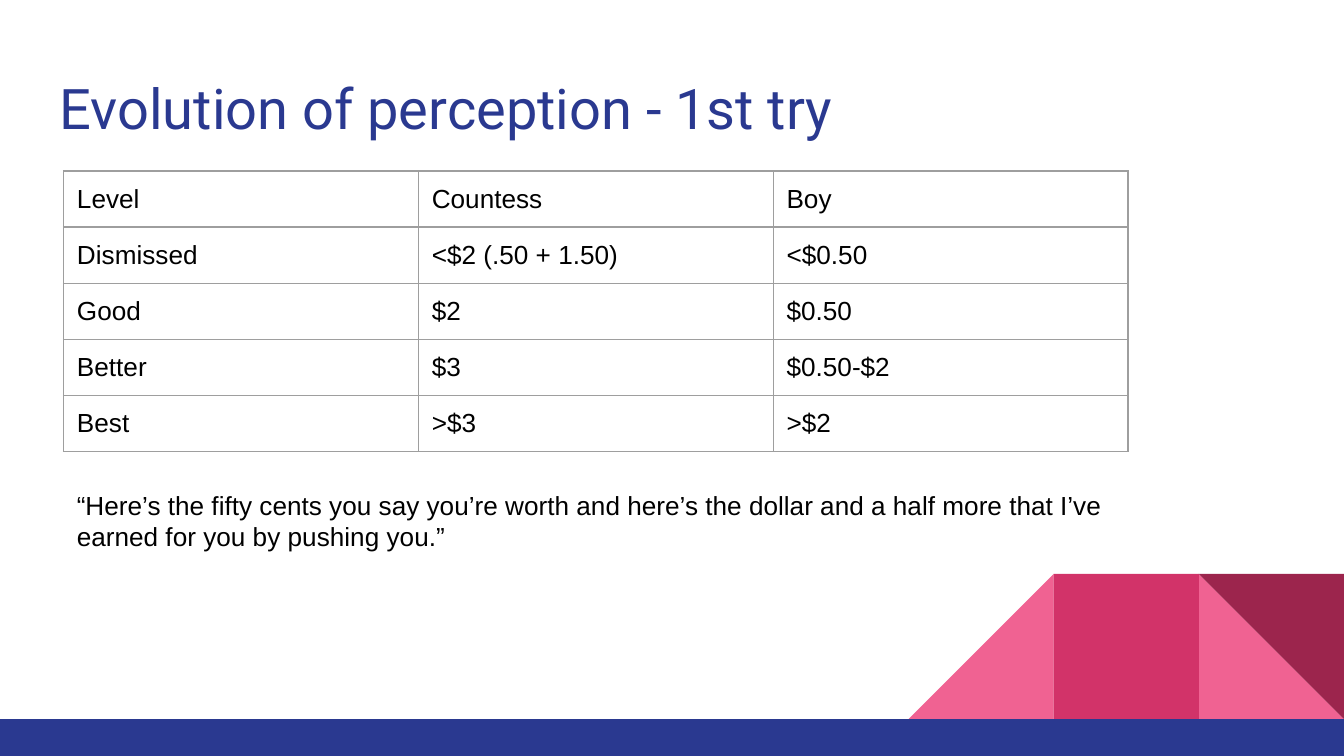
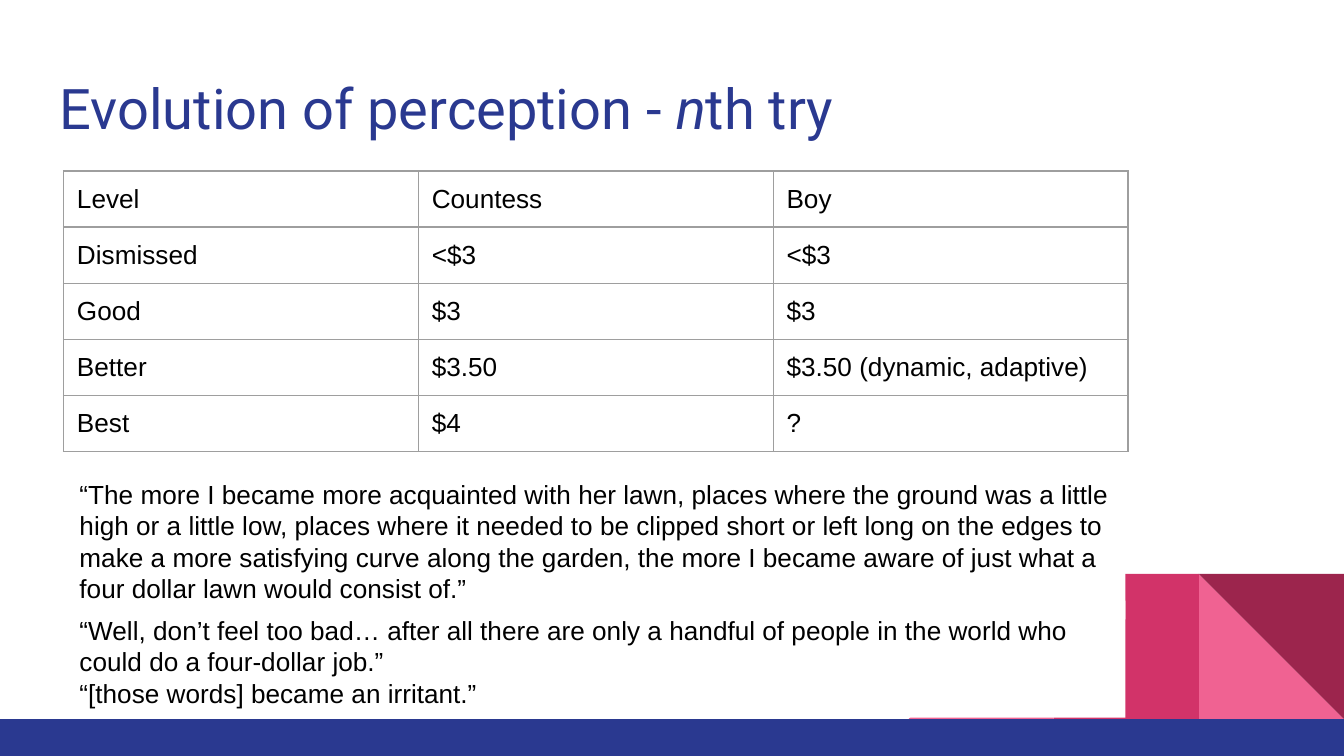
import pptx
import pptx.dml.color
import pptx.enum.shapes
import pptx.enum.text
import pptx.oxml
import pptx.oxml.ns
import pptx.util

SHAPES = pptx.enum.shapes.MSO_SHAPE
COLUMNS = 100  # square grid: one hundred units across the slide
LEVELS = ["Level", "Dismissed", "Good", "Better", "Best"]


def color(hex_value):
    return pptx.dml.color.RGBColor.from_string(hex_value)


class Deck:
    NAVY, PINK, ROSE, WINE = "2A3990", "F06292", "D23369", "9C254D"
    WHITE, BLACK, GRAY = "FFFFFF", "000000", "9E9E9E"
    TITLE_FONT, BODY_FONT = "Roboto", "Arial"
    TITLE_SIZE, BODY_SIZE = 30, 14
    INSET, CELL_BOTTOM = 1, 0.8

    def __init__(self):
        self.prs = pptx.Presentation()
        self.prs.slide_width = pptx.util.Inches(10)
        self.prs.slide_height = pptx.util.Inches(5.625)
        self.slide = None

    def units(self, *counts):
        return [round(n * self.prs.slide_width / COLUMNS) for n in counts]

    def new_slide(self, *title_runs):
        self.slide = self.prs.slides.add_slide(self.prs.slide_layouts[6])
        self.decoration()
        self.title(title_runs)

    def decoration(self):
        # Square tiles stand on the footer band and end at the right edge
        tile, band_top = 10.8, 53.5
        tiles = [
            (1, SHAPES.RIGHT_TRIANGLE, 0, self.PINK),
            (3, SHAPES.RIGHT_TRIANGLE, 270, self.PINK),
            (2, SHAPES.RECTANGLE, 0, self.ROSE),
            (1, SHAPES.RIGHT_TRIANGLE, 180, self.WINE),
        ]
        for place, kind, turn, fill in tiles:
            at = (COLUMNS - place * tile, band_top - tile, tile, tile)
            self.shape(kind, at, fill).rotation = turn
        self.shape(SHAPES.RECTANGLE, (0, band_top, COLUMNS, 2.75), self.NAVY)

    def shape(self, kind, at, fill):
        shape = self.slide.shapes.add_shape(kind, *self.units(*at))
        shape.shadow.inherit = False
        shape.fill.solid()
        shape.fill.fore_color.rgb = color(fill)
        shape.line.fill.background()
        return shape

    def set_insets(self, holder, bottom=INSET):
        for side in ("left", "top", "right"):
            setattr(holder, f"margin_{side}", self.units(self.INSET)[0])
        holder.margin_bottom = self.units(bottom)[0]

    def run(self, paragraph, text, size, font, hex_value, italic=False):
        run = paragraph.add_run()
        run.text = text
        run.font.size = pptx.util.Pt(size)
        run.font.name = font
        run.font.italic = italic
        run.font.color.rgb = color(hex_value)

    def body_run(self, paragraph, text):
        self.run(paragraph, text, self.BODY_SIZE, self.BODY_FONT, self.BLACK)

    def paragraphs(self, frame, count):
        frame.word_wrap = True
        frame.vertical_anchor = pptx.enum.text.MSO_ANCHOR.TOP
        self.set_insets(frame)
        for _ in range(count - 1):
            frame.add_paragraph()
        for paragraph in frame.paragraphs:
            paragraph.alignment = pptx.enum.text.PP_ALIGN.LEFT
            paragraph.line_spacing = 1.0
        return frame.paragraphs

    def title(self, runs):
        box = self.slide.shapes.add_textbox(*self.units(3.45, 4.5, 93.2, 6.6))
        heading = self.paragraphs(box.text_frame, 1)[0]
        for text, italic in runs:
            self.run(heading, text, self.TITLE_SIZE, self.TITLE_FONT, self.NAVY, italic)

    def quote(self, at, *texts):
        panel = self.shape(SHAPES.RECTANGLE, at, self.WHITE)
        for paragraph, text in zip(self.paragraphs(panel.text_frame, len(texts)), texts):
            self.body_run(paragraph, text)

    def table(self, rows):
        column, row_height = 26.4, 4.17
        width, height = column * len(rows[0]), row_height * len(rows)
        table = self.slide.shapes.add_table(
            len(rows), len(rows[0]), *self.units(4.73, 12.73, width, height)).table
        table.first_row = table.horz_banding = False
        for r, row in enumerate(rows):
            for c, text in enumerate(row):
                cell = table.cell(r, c)
                self.set_insets(cell, self.CELL_BOTTOM)
                self.body_run(cell.text_frame.paragraphs[0], text)
                self.borders(cell)
                cell.fill.background()

    def borders(self, cell):
        properties = cell._tc.get_or_add_tcPr()
        for side in "LRTB":
            properties.append(pptx.oxml.parse_xml(
                f'<a:ln{side} {pptx.oxml.ns.nsdecls("a")} w="{pptx.util.Pt(0.75)}">'
                f'<a:solidFill><a:srgbClr val="{self.GRAY}"/></a:solidFill></a:ln{side}>'))

    def perception_table(self, countess, boy):
        self.table(list(zip(LEVELS, ["Countess"] + countess, ["Boy"] + boy)))


def main():
    deck = Deck()

    # First try
    deck.new_slide(("Evolution of perception - 1st try", False))
    deck.perception_table(["<$2 (.50 + 1.50)", "$2", "$3", ">$3"],
                          ["<$0.50", "$0.50", "$0.50-$2", ">$2"])
    deck.quote((4.73, 35.4, 78.8, 6.6),
               "“Here’s the fifty cents you say you’re worth and here’s the dollar "
               "and a half more that I’ve earned for you by pushing you.”")

    # Nth try
    deck.new_slide(("Evolution of perception - ", False), ("n", True), ("th try", False))
    deck.perception_table(["<$3", "$3", "$3.50", "$4"],
                          ["<$3", "$3", "$3.50 (dynamic, adaptive)", "?"])
    deck.quote((4.93, 34.6, 78.8, 11.5),
               "“The more I became more acquainted with her lawn, places where the "
               "ground was a little high or a little low, places where it needed to be "
               "clipped short or left long on the edges to make a more satisfying curve "
               "along the garden, the more I became aware of just what a four dollar "
               "lawn would consist of.”")
    deck.quote((4.93, 44.7, 78.8, 8.7),
               "“Well, don’t feel too bad… after all there are only a handful of people "
               "in the world who could do a four-dollar job.”",
               "“[those words] became an irritant.”")

    deck.prs.save("out.pptx")


if __name__ == "__main__":
    main()
